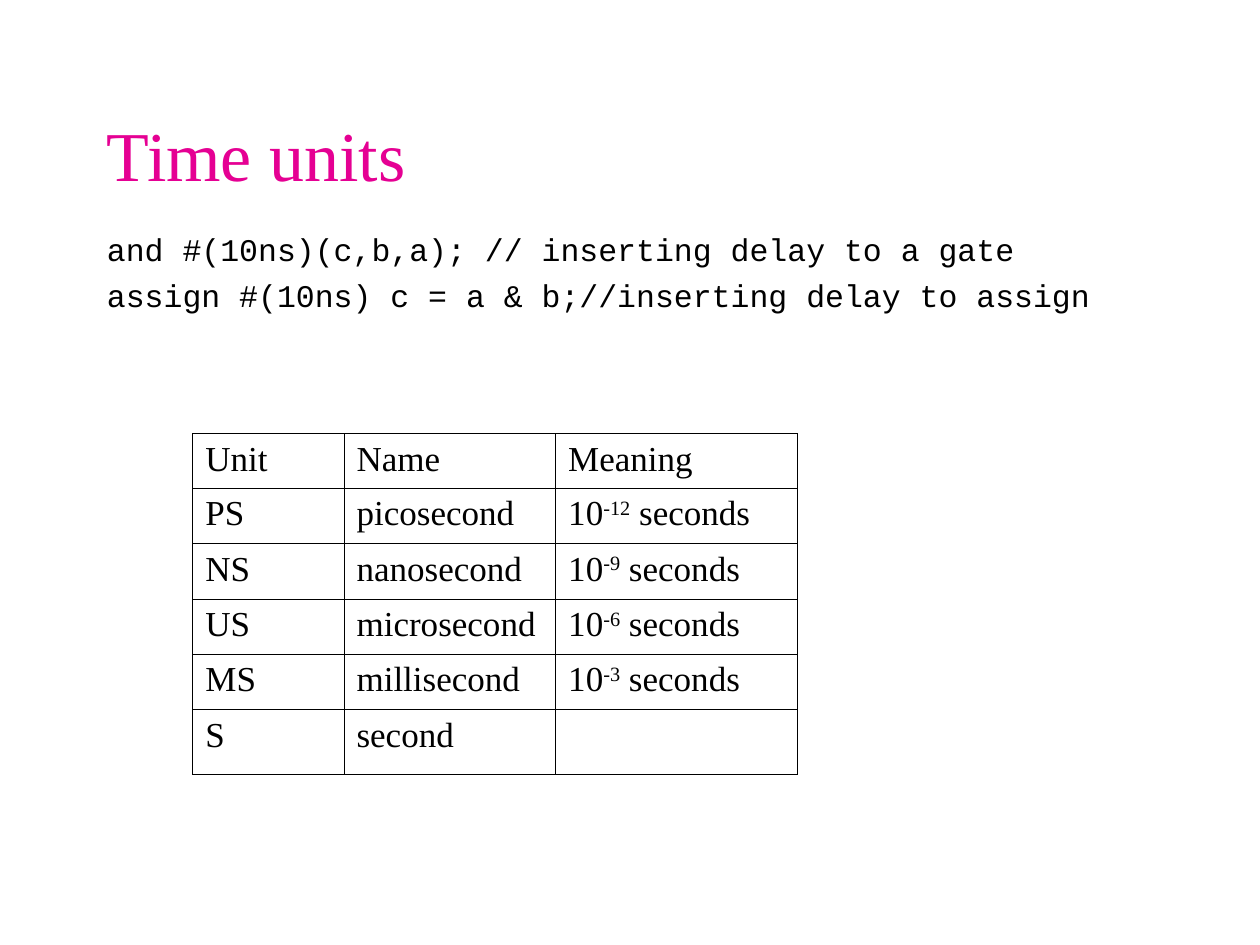
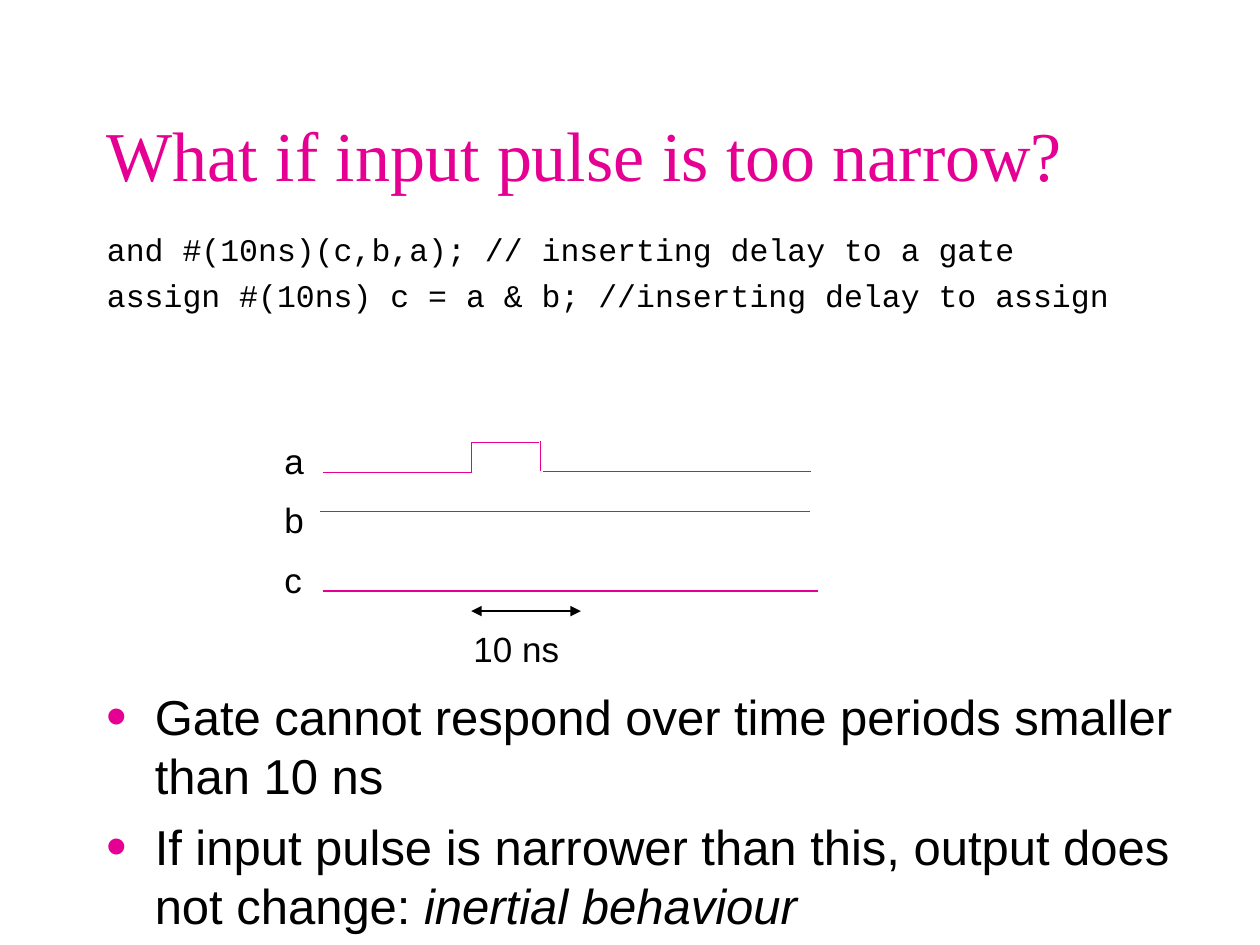
from lxml import etree
from pptx import Presentation
from pptx import util as u
from pptx.dml.color import RGBColor
from pptx.enum import shapes, text
from pptx.oxml.ns import qn

CODE = ["and #(10ns)(c,b,a); // inserting delay to a gate",
        "assign #(10ns) c = a & b;{}//inserting delay to assign"]
UNITS = [("Unit", "Name", "Meaning"),
         ("PS", "picosecond", "-12"),
         ("NS", "nanosecond", "-9"),
         ("US", "microsecond", "-6"),
         ("MS", "millisecond", "-3"),
         ("S", "second", "")]
COL_WIDTHS = [1.2, 1.68, 1.92]
ROW_HEIGHTS = [0.43, 0.44, 0.44, 0.44, 0.44, 0.51]
BULLETS = ["Gate cannot respond over time periods smaller than 10 ns",
           ["If input pulse is narrower than this, output does not change: ",
            ("inertial behaviour", {"italic": True})]]

# Waveforms: label, top of label, then the points of each stroke
SIGNALS = [("a", 3.44, [[(2.56, 3.75), (3.74, 3.75), (3.74, 3.51), (4.28, 3.51)],
                        [(4.29, 3.5), (4.29, 3.74)], [(4.31, 3.74), (6.44, 3.74)]]),
           ("b", 3.91, [[(2.54, 4.06), (6.43, 4.06)]]),
           ("c", 4.38, [[(2.56, 4.69), (6.49, 4.69)]])]
LABEL_X = 2.16
DELAY = [(3.74, 4.85), (4.61, 4.85)]

PINK = RGBColor(0xE5, 0x00, 0x93)
BLACK = RGBColor(0x00, 0x00, 0x00)
WHITE = RGBColor(0xFF, 0xFF, 0xFF)
SERIF, SANS, MONO = "Times New Roman", "Arial", "Courier New"
MARGIN, INDENT = 0.75, 0.38


def write(tf, paragraphs, size=20, font=SANS, color=BLACK, before=0, bullet=False, hang=True):
    """Fill a frame; a paragraph is a string or a list of strings and (string, font settings)."""
    tf.word_wrap = True
    for i, runs in enumerate(paragraphs):
        p = tf.paragraphs[0] if i == 0 else tf.add_paragraph()
        p.space_before = u.Pt(before)
        pPr = p._p.get_or_add_pPr()
        if hang:
            pPr.set("marL", str(u.Inches(INDENT)))
            pPr.set("indent", str(-u.Inches(INDENT)))
        if bullet:
            clr = etree.SubElement(pPr, qn("a:buClr"))
            etree.SubElement(clr, qn("a:srgbClr"), val=str(PINK))
            etree.SubElement(pPr, qn("a:buSzPct"), val="120000")
            etree.SubElement(pPr, qn("a:buFont"), typeface=font)
            etree.SubElement(pPr, qn("a:buChar"), char="•")
        for run in [runs] if isinstance(runs, str) else runs:
            words, extra = (run, {}) if isinstance(run, str) else run
            r = p.add_run()
            r.text = words
            r.font.size, r.font.name, r.font.color.rgb = u.Pt(size), font, color
            r.font.italic = extra.get("italic")
            if "baseline" in extra:
                r._r.get_or_add_rPr().set("baseline", extra["baseline"])


def add_text(s, box, paragraphs, anchor=text.MSO_ANCHOR.TOP, **fmt):
    sp = s.shapes.add_textbox(*map(u.Inches, box))
    sp.text_frame.vertical_anchor = anchor
    write(sp.text_frame, paragraphs, **fmt)
    return sp


def add_line(s, start, end, color=PINK, arrows=False):
    c = s.shapes.add_connector(shapes.MSO_CONNECTOR.STRAIGHT, *map(u.Inches, start + end))
    c.line.color.rgb, c.line.width = color, u.Pt(0.75)
    if arrows:
        for tag in ("a:headEnd", "a:tailEnd"):
            etree.SubElement(c.line._get_or_add_ln(), qn(tag), type="triangle")
    etree.SubElement(c._element.spPr, qn("a:effectLst"))


def add_slide(prs, title, gap):
    """Slide with title and code; gap stands before the second comment."""
    s = prs.slides.add_slide(prs.slide_layouts[6])
    add_text(s, (MARGIN, 0.52, 8.5, 1.4), [title], anchor=text.MSO_ANCHOR.MIDDLE,
             size=40, font=SERIF, color=PINK, hang=False)
    add_text(s, (MARGIN, 1.78, 8.61, 1), [line.format(gap) for line in CODE],
             size=18, font=MONO, before=4.5)
    return s


def border_cell(cell):
    tcPr = cell._tc.get_or_add_tcPr()
    for i, side in enumerate(("a:lnL", "a:lnR", "a:lnT", "a:lnB")):
        ln = etree.Element(qn(side), w=str(u.Pt(0.45)))
        fill = etree.SubElement(ln, qn("a:solidFill"))
        etree.SubElement(fill, qn("a:srgbClr"), val=str(BLACK))
        tcPr.insert(i, ln)


def add_units_table(s):
    size = sum(COL_WIDTHS), sum(ROW_HEIGHTS)
    frame = s.shapes.add_table(len(UNITS), len(COL_WIDTHS), *map(u.Inches, (1.53, 3.44) + size))
    table = frame.table
    table.first_row = table.horz_banding = False
    for col, width in zip(table.columns, COL_WIDTHS):
        col.width = u.Inches(width)
    for i, (row, height) in enumerate(zip(UNITS, ROW_HEIGHTS)):
        table.rows[i].height = u.Inches(height)
        for j, words in enumerate(row):
            cell = table.cell(i, j)
            cell.fill.background()
            border_cell(cell)
            if words.startswith("-"):
                words = ["10", (words, {"baseline": "30000"}), " seconds"]
            if words:
                write(cell.text_frame, [words], font=SERIF)


def add_waveforms(s):
    for name, top, strokes in SIGNALS:
        add_text(s, (LABEL_X, top, 0.5, 0.43), [name], before=12.5)
        for points in strokes:
            for start, end in zip(points, points[1:]):
                add_line(s, start, end)
    add_line(s, *DELAY, color=BLACK, arrows=True)
    add_text(s, (3.66, 4.93, 1.26, 0.43), ["10 ns"], before=12.5)


def main():
    prs = Presentation()
    prs.slide_width, prs.slide_height = u.Inches(10), u.Inches(7.5)
    add_units_table(add_slide(prs, "Time units", ""))

    s = add_slide(prs, "What if input pulse is too narrow?", " ")
    body = add_text(s, (MARGIN, 5.4, 9.25, 2.1), BULLETS, size=28, before=7, bullet=True)
    body.fill.solid()
    body.fill.fore_color.rgb = WHITE
    add_waveforms(s)
    prs.save("out.pptx")


if __name__ == "__main__":
    main()
